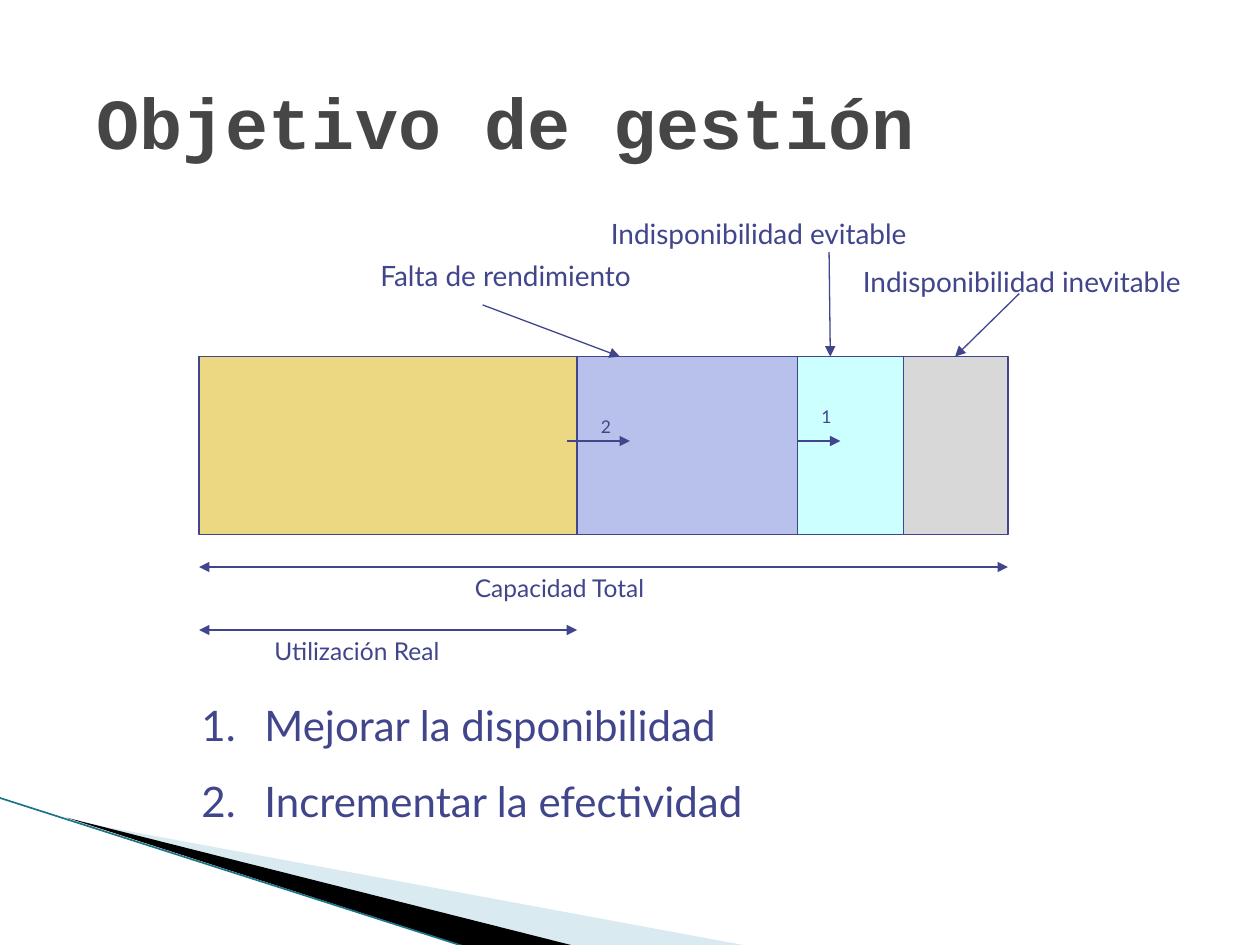
from itertools import pairwise

from lxml.etree import SubElement
from pptx import Presentation
from pptx.dml.color import RGBColor
from pptx.enum.shapes import MSO_CONNECTOR, MSO_SHAPE
from pptx.enum.text import MSO_ANCHOR
from pptx.oxml.ns import qn
from pptx.util import Inches, Pt

THEME = {
    "ink": "40458C", "title": "464646", "swoosh": "A0CBDC",
    "shadow": "000000", "edge": "1B7587",
    "title_font": "Courier New", "font": "Lato",
    "title_size": 41, "label_size": 16, "span_size": 14,
    "list_size": 24, "mark_size": 10, "line": 0.75, "edge_line": 0.95,
}

TITLE = "Objetivo de gestión"
GOALS = ["Mejorar la disponibilidad", "Incrementar la efectividad"]

# Capacity bar: segment edges, then (colour, opacity in percent)
EDGES = [1.58, 4.58, 6.33, 7.17, 8]
SEGMENTS = [("ECD882", 100), ("B7C1EB", 100), ("CCFFFF", 100), ("B2B2B2", 50)]
BAR_TOP, BAR_HEIGHT = 2.83, 1.41

# text, (left, top, width, height), arrow start, x of the arrow tip on the bar
CALLOUTS = [
    ("Falta de rendimiento", (2.92, 2, 2.33, 0.64), (3.83, 2.42), 4.92),
    ("Indisponibilidad evitable", (4.75, 1.67, 2.58, 0.64), (6.58, 2), 6.59),
    ("Indisponibilidad inevitable", (6.75, 2.05, 2.92, 0.64), (8.09, 2.33), 7.58),
]
# text, text left, y, right end of the span
SPANS = [("Capacidad Total", 3.67, 4.5, EDGES[-1]),
         ("Utilización Real", 2.08, 5, EDGES[1])]
# text, text left, text top, arrow start x, arrow end x
MARKS = [("2", 4.67, 3.25, 4.5, 5), ("1", 6.42, 3.17, EDGES[2], 6.67)]
MARK_Y = 3.5

# outline, colour, opacity in percent
SWOOSHES = [
    ([(0.55, 6.51), (5.95, 7.51), (4.56, 7.51)], THEME["swoosh"], 40),
    ([(0.53, 6.49), (4.57, 7.51), (3.72, 7.52)], THEME["shadow"], 100),
]


def paint(sp, color, opacity=100):
    sp.shadow.inherit = False
    sp.fill.solid()
    sp.fill.fore_color.rgb = RGBColor.from_string(color)
    if opacity < 100:
        clr = sp.fill._xPr.find(qn("a:solidFill"))[0]
        SubElement(clr, qn("a:alpha")).set("val", str(opacity * 1000))


def add_line(slide, start, end, color=THEME["ink"], width=THEME["line"], heads=()):
    """heads lists the ends with an arrowhead: headEnd (start), tailEnd (end)."""
    points = [Inches(v) for v in (*start, *end)]
    line = slide.shapes.add_connector(MSO_CONNECTOR.STRAIGHT, *points)
    line.line.color.rgb = RGBColor.from_string(color)
    line.line.width = Pt(width)
    ln = line.line._get_or_add_ln()
    for head in heads:
        SubElement(ln, qn(f"a:{head}")).set("type", "triangle")
    SubElement(line._element.spPr, qn("a:effectLst"))


def add_text(slide, box, lines, size, color=THEME["ink"], font=THEME["font"],
             bold=False, numbered=False):
    sp = slide.shapes.add_textbox(*(Inches(v) for v in box))
    tf = sp.text_frame
    tf.word_wrap = True
    tf.text = "\n".join(lines)
    for i, p in enumerate(tf.paragraphs):
        if i:
            p.space_before = Pt(15)
        if numbered:
            pPr = p._p.get_or_add_pPr()
            pPr.set("marL", str(Inches(0.5)))
            pPr.set("indent", str(-Inches(0.5)))
            SubElement(pPr, qn("a:buFont")).set("typeface", font)
            SubElement(pPr, qn("a:buAutoNum")).set("type", "arabicPeriod")
        for r in p.runs:
            r.font.name = font
            r.font.size = Pt(size)
            r.font.bold = bold
            r.font.color.rgb = RGBColor.from_string(color)
    return tf


def add_swooshes(slide):
    for points, color, opacity in SWOOSHES:
        (x, y), *rest = points
        builder = slide.shapes.build_freeform(Inches(x), Inches(y))
        builder.add_line_segments([(Inches(a), Inches(b)) for a, b in rest])
        sp = builder.convert_to_shape()
        paint(sp, color, opacity)
        sp.line.fill.background()
    add_line(slide, (-0.01, 6.33), (3.71, 7.52), THEME["edge"], THEME["edge_line"])


def add_bar(slide):
    group = slide.shapes.add_group_shape()
    for (left, right), (color, opacity) in zip(pairwise(EDGES), SEGMENTS):
        sp = group.shapes.add_shape(
            MSO_SHAPE.RECTANGLE, Inches(left), Inches(BAR_TOP),
            Inches(right - left), Inches(BAR_HEIGHT))
        paint(sp, color, opacity)
        sp.line.color.rgb = RGBColor.from_string(THEME["ink"])
        sp.line.width = Pt(THEME["line"])


def main():
    prs = Presentation()
    prs.slide_width, prs.slide_height = Inches(10), Inches(7.5)
    slide = prs.slides.add_slide(prs.slide_layouts[6])

    add_swooshes(slide)
    tf = add_text(slide, (0.67, 0.33, 8.5, 1.25), [TITLE], THEME["title_size"],
                  THEME["title"], THEME["title_font"], bold=True)
    tf.vertical_anchor = MSO_ANCHOR.MIDDLE
    add_bar(slide)
    for text, box, start, tip in CALLOUTS:
        add_text(slide, box, [text], THEME["label_size"])
        add_line(slide, start, (tip, BAR_TOP), heads=["tailEnd"])
    for text, left, y, right in SPANS:
        add_line(slide, (EDGES[0], y), (right, y), heads=["headEnd", "tailEnd"])
        add_text(slide, (left, y, 1.83, 0.34), [text], THEME["span_size"])
    add_text(slide, (1.5, 5.5, 5.25, 1.11), GOALS, THEME["list_size"], numbered=True)
    for text, left, top, start, end in MARKS:
        add_line(slide, (start, MARK_Y), (end, MARK_Y), heads=["tailEnd"])
        add_text(slide, (left, top, 0.42, 0.27), [text], THEME["mark_size"])

    prs.save("out.pptx")


if __name__ == "__main__":
    main()
